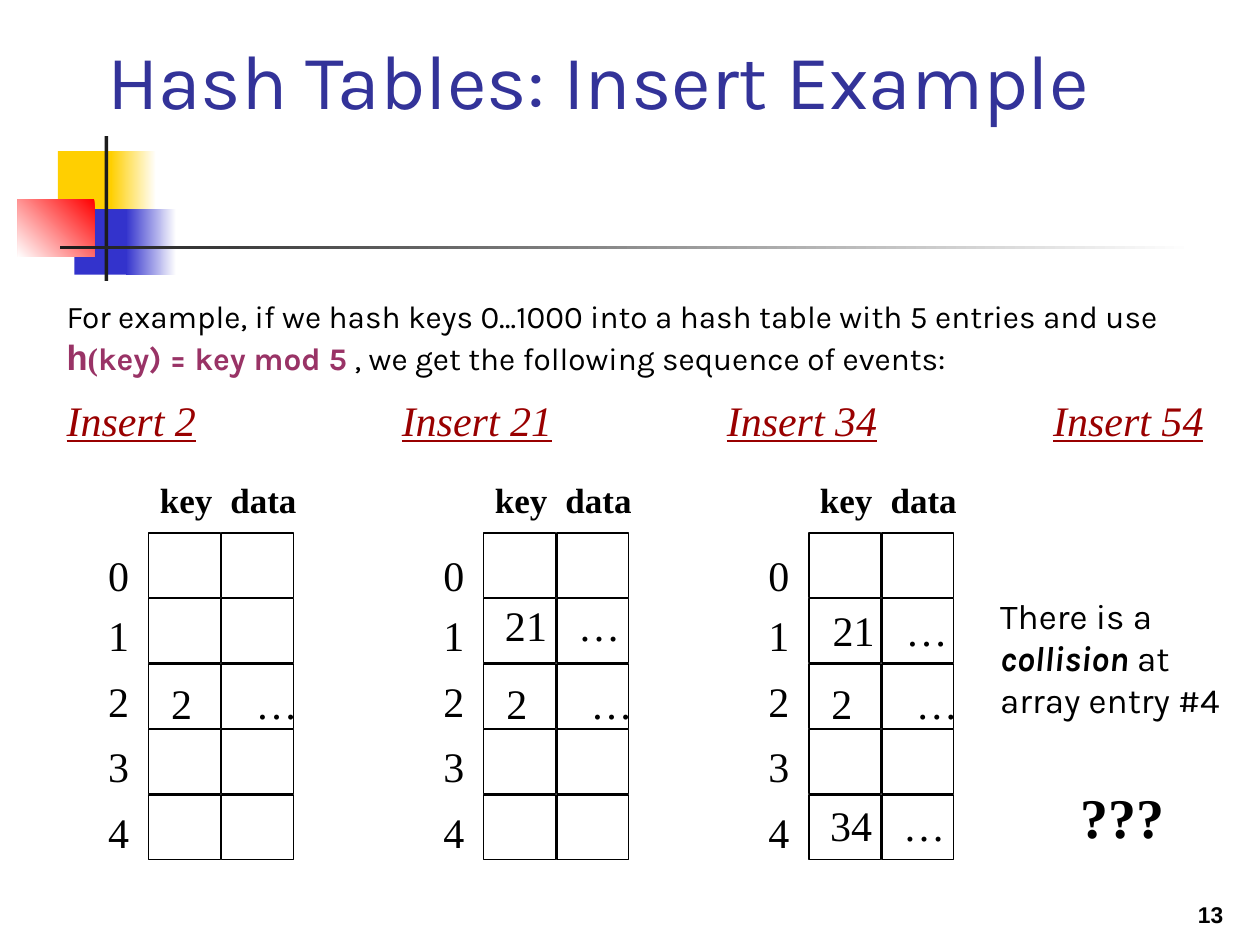
from lxml import etree
from pptx import Presentation
from pptx.dml.color import RGBColor
from pptx.enum.shapes import MSO_SHAPE
from pptx.enum.text import MSO_ANCHOR, MSO_AUTO_SIZE, PP_ALIGN
from pptx.oxml.ns import qn
from pptx.util import Inches, Pt

RECTANGLE = MSO_SHAPE.RECTANGLE
MIDDLE = MSO_ANCHOR.MIDDLE
NO_AUTOFIT = MSO_AUTO_SIZE.NONE
LEFT = PP_ALIGN.LEFT

COLORS = {
    "black": "000000", "white": "FFFFFF", "title": "333399", "formula": "993366",
    "step": "990000", "yellow": "FFCF01", "blue": "3333CC", "red": "FF0000",
    "rule": "1C1C1C",
}
SERIF = "Times New Roman"
SANS = "Karla"
STYLES = {
    "title": {"name": SANS, "size": Pt(44), "color": "title"},
    "intro": {"name": SANS, "size": Pt(18)},
    "hash": {"name": "Courier New", "size": Pt(20), "bold": True, "color": "formula"},
    "paren": {"name": SERIF, "size": Pt(18), "bold": True, "color": "formula"},
    "formula": {"name": SANS, "size": Pt(18), "bold": True, "color": "formula"},
    "step": {"name": SERIF, "size": Pt(24), "italic": True, "underline": True,
             "color": "step"},
    "header": {"name": SERIF, "size": Pt(20), "bold": True},
    "entry": {"name": SERIF, "size": Pt(24)},
    "remark": {"name": SANS, "size": Pt(20)},
    "collision": {"name": SANS, "size": Pt(20), "bold": True, "italic": True},
    "question": {"name": SERIF, "size": Pt(32), "bold": True},
    "page": {"name": "Arial", "size": Pt(13), "bold": True},
}

ROWS, COLUMNS = 5, 2
CELL_WIDTH, CELL_HEIGHT = 0.57, 0.51
COLUMN_PITCH, ROW_PITCH = 0.58, 0.52
INDEX_SPACING = [1, 1.2, 1.3, 1.3, 1.3]
STEP_TOP = 3.08


def rgb(color):
    return RGBColor.from_string(COLORS[color])


def write_run(paragraph, text, style):
    run = paragraph.add_run()
    run.text = text
    values = dict(STYLES[style])
    run.font.color.rgb = rgb(values.pop("color", "black"))
    for attribute, value in values.items():
        setattr(run.font, attribute, value)


def add_tab_stop(paragraph, position):
    tab_list = etree.SubElement(paragraph._p.get_or_add_pPr(), qn("a:tabLst"))
    etree.SubElement(tab_list, qn("a:tab"), pos=str(Inches(position)), algn="l")


def add_text(shapes, box, lines, tab=None, spacing=None):
    frame = shapes.add_textbox(*map(Inches, box)).text_frame
    frame.word_wrap = True
    for index, line in enumerate(lines):
        paragraph = frame.add_paragraph() if index else frame.paragraphs[0]
        if tab:
            add_tab_stop(paragraph, tab)
        if spacing:
            paragraph.line_spacing = spacing[index]
        for text, style in line:
            write_run(paragraph, text, style)


def add_rectangle(shapes, box):
    rectangle = shapes.add_shape(RECTANGLE, *map(Inches, box))
    rectangle.shadow.inherit = False
    return rectangle


def add_ornament(shapes, left, top):
    parts = [
        (0.32, 0.12, 0.48, 0.52, ["yellow"], 0),
        (0.74, 0.12, 0.36, 0.52, ["white", "yellow"], 180),
        (0.45, 0.58, 0.46, 0.52, ["blue"], 0),
        (0.86, 0.58, 0.4, 0.52, ["white", "blue"], 180),
        (0, 0.5, 0.61, 0.46, ["red", "white"], 225),
        (0.69, 0, 0.03, 1.15, ["rule"], 0),
        (0.34, 0.87, 9, 0.03, ["white", "rule"], 180),
    ]
    for x, y, width, height, colors, angle in parts:
        block = add_rectangle(shapes, (left + x, top + y, width, height))
        block.line.fill.background()
        if len(colors) == 1:
            block.fill.solid()
            block.fill.fore_color.rgb = rgb(colors[0])
            continue
        block.fill.gradient()
        block.fill.gradient_angle = angle
        for stop, color in zip(block.fill.gradient_stops, colors):
            stop.color.rgb = rgb(color)


def add_title(title, box):
    title.left, title.top, title.width, title.height = map(Inches, box)
    frame = title.text_frame
    frame.auto_size = NO_AUTOFIT
    frame.vertical_anchor = MIDDLE
    paragraph = frame.paragraphs[0]
    paragraph.alignment = LEFT
    write_run(paragraph, "Hash Tables: Insert Example", "title")


def add_intro(shapes, box):
    add_text(shapes, box, [[
        ("For example, if we hash keys 0…1000 into a hash table with 5 entries and use ",
         "intro"),
        ("h", "hash"),
        ("(", "paren"),
        ("key) = key mod 5", "formula"),
        (" , we get the following sequence of events:", "intro"),
    ]])


def add_step_heading(shapes, left, top, key):
    add_text(shapes, (left, top, 1.48, 0.5), [[(f"Insert {key}", "step")]])


def add_hash_table(shapes, left, top, key, entries):
    panel = shapes.add_group_shape().shapes
    for row in range(ROWS):
        for column in range(COLUMNS):
            cell = add_rectangle(panel, (
                left + 0.75 + column * COLUMN_PITCH, top + 1.15 + row * ROW_PITCH,
                CELL_WIDTH, CELL_HEIGHT))
            cell.fill.background()
            cell.line.color.rgb = rgb("black")
            cell.line.width = Pt(0.75)
    add_text(panel, (left + 0.33, top + 1.23, 0.4, 2.94),
             [[(str(row), "entry")] for row in range(ROWS)], spacing=INDEX_SPACING)
    add_text(panel, (left + 0.74, top + 0.67, 1.4, 0.44),
             [[("key\tdata", "header")]], tab=0.56)
    add_step_heading(panel, left, top, key)
    for stored_key, x, y, tab in entries:
        add_text(panel, (left + x, top + y, 1.3, 0.5),
                 [[(f"{stored_key}\t…", "entry")]], tab=tab)


def add_collision(shapes, left, top):
    panel = shapes.add_group_shape().shapes
    add_step_heading(panel, left, top, 54)
    add_text(panel, (left - 0.42, top + 1.59, 2.16, 1.1), [
        [("There is a", "remark")],
        [("collision", "collision"), (" at", "remark")],
        [("array entry #4", "remark")],
    ])
    add_text(panel, (left + 0.22, top + 3.08, 0.9, 0.64), [[("???", "question")]])


def main():
    presentation = Presentation()
    presentation.slide_width = Inches(10)
    presentation.slide_height = Inches(7.5)
    slide = presentation.slides.add_slide(presentation.slide_layouts[5])
    shapes = slide.shapes

    add_ornament(shapes, 0.14, 1.08)
    add_title(shapes.title, (0.75, 0, 8.5, 1.25))
    add_intro(shapes, (0.43, 2.31, 8.98, 0.74))

    entry_2 = (2, 0.83, 2.25, 0.67)
    steps = [
        (0.43, 2, [entry_2]),
        (3.09, 21, [entry_2, (21, 0.82, 1.63, 0.58)]),
        (5.67, 34, [entry_2, (21, 0.84, 1.67, 0.58), (34, 0.82, 3.22, 0.58)]),
    ]
    for left, key, entries in steps:
        add_hash_table(shapes, left, STEP_TOP, key, entries)
    add_collision(shapes, 8.26, STEP_TOP)
    add_text(shapes, (9.41, 7.1, 0.5, 0.32), [[("13", "page")]])

    presentation.save("out.pptx")


if __name__ == "__main__":
    main()
